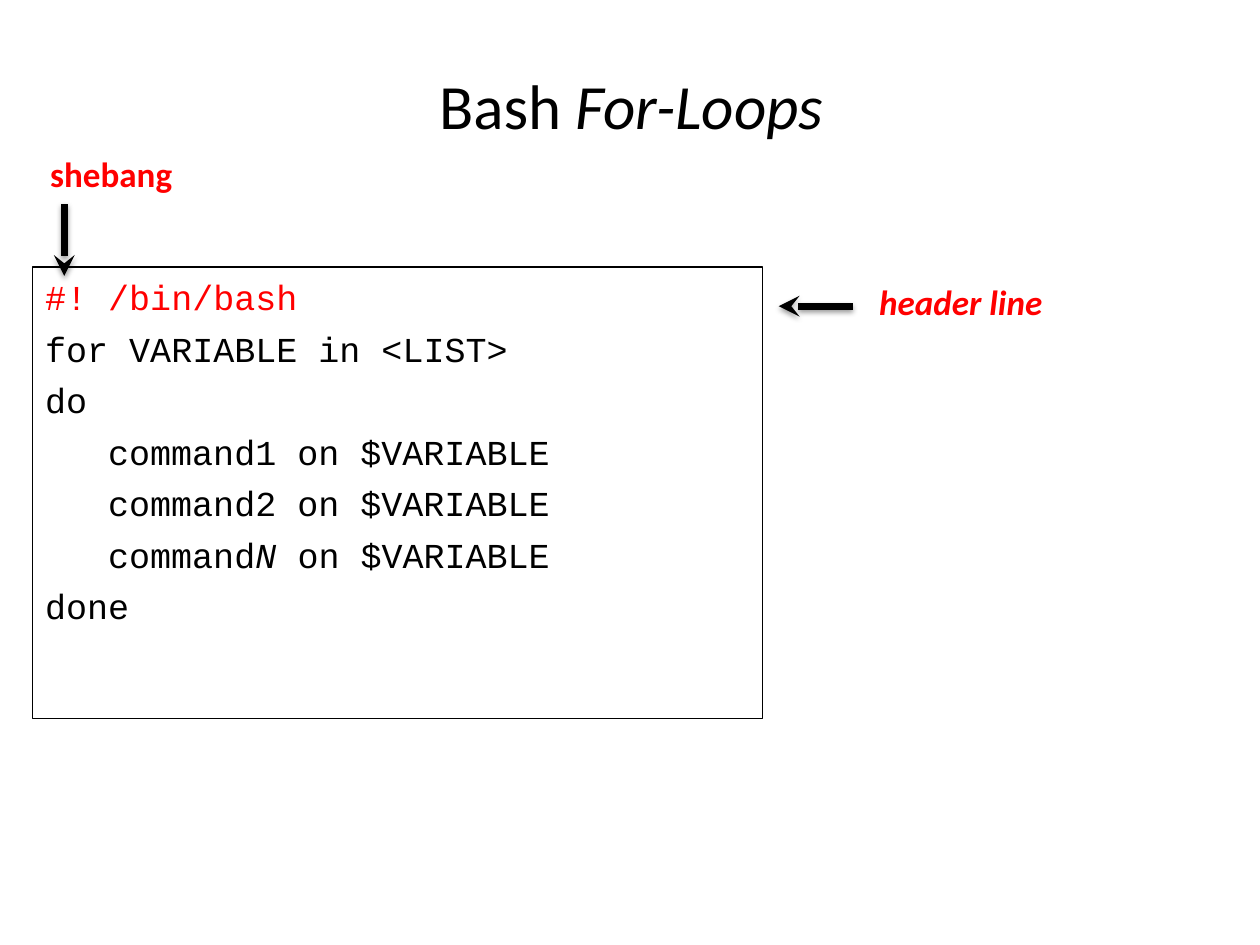
import pptx
import pptx.dml.color
import pptx.enum.shapes
import pptx.enum.text
import pptx.oxml
import pptx.oxml.ns
import pptx.util
from pptx.util import Inches

COLORS = {"ink": "000000", "accent": "FF0000"}
HEADING_FONT = "Calibri"
CODE_FONT = "Courier New"
NAMESPACE = pptx.oxml.ns.nsdecls("a")


def rgb(name):
    """Return the palette colour with the given name."""
    return pptx.dml.color.RGBColor.from_string(COLORS[name])


def add_run(paragraph, text, font=HEADING_FONT, size=20, color="ink", bold=False, italic=False):
    """Append formatted text to a paragraph."""
    run = paragraph.add_run()
    run.text = text
    run.font.name = font
    run.font.size = pptx.util.Pt(size)
    run.font.color.rgb = rgb(color)
    run.font.bold = bold
    run.font.italic = italic


def format_title(slide, left, top, width, height):
    """Place the title and write its two runs."""
    title = slide.shapes.title
    title.left, title.top = Inches(left), Inches(top)
    title.width, title.height = Inches(width), Inches(height)
    title.text_frame.vertical_anchor = pptx.enum.text.MSO_ANCHOR.MIDDLE
    paragraph = title.text_frame.paragraphs[0]
    paragraph.alignment = pptx.enum.text.PP_ALIGN.CENTER
    add_run(paragraph, "Bash ", size=36)
    add_run(paragraph, "For-Loops", size=36, italic=True)


def add_code_box(slide, left, top, width, height, lines):
    """Draw a framed code listing; each line is a list of text and format pairs."""
    box = slide.shapes.add_shape(
        pptx.enum.shapes.MSO_SHAPE.RECTANGLE,
        Inches(left), Inches(top), Inches(width), Inches(height))
    box.shadow.inherit = False
    box.fill.background()
    box.line.color.rgb = rgb("ink")
    box.line.width = pptx.util.Pt(0.75)
    frame = box.text_frame
    frame.word_wrap = True
    frame.vertical_anchor = pptx.enum.text.MSO_ANCHOR.TOP
    for index, pieces in enumerate(lines):
        paragraph = frame.add_paragraph() if index else frame.paragraphs[0]
        paragraph.alignment = pptx.enum.text.PP_ALIGN.LEFT
        paragraph.line_spacing = 1.06
        paragraph.space_after = pptx.util.Pt(4)
        paragraph._p.get_or_add_pPr().append(pptx.oxml.parse_xml(
            f'<a:tabLst {NAMESPACE}><a:tab pos="{Inches(0.5)}" algn="l"/></a:tabLst>'))
        for text, style in pieces:
            add_run(paragraph, text, font=CODE_FONT, **style)


def add_label(slide, left, top, width, height, text, italic=False):
    """Add a bold accent label."""
    label = slide.shapes.add_textbox(Inches(left), Inches(top), Inches(width), Inches(height))
    label.text_frame.word_wrap = True
    add_run(label.text_frame.paragraphs[0], text, color="accent", bold=True, italic=italic)


def add_arrow(slide, start, end):
    """Draw a thick stealth arrow with a soft shadow."""
    arrow = slide.shapes.add_connector(
        pptx.enum.shapes.MSO_CONNECTOR.STRAIGHT,
        Inches(start[0]), Inches(start[1]), Inches(end[0]), Inches(end[1]))
    arrow.line.color.rgb = rgb("ink")
    arrow.line.width = pptx.util.Pt(4)
    arrow.line._get_or_add_ln().append(
        pptx.oxml.parse_xml(f'<a:tailEnd {NAMESPACE} type="stealth"/>'))
    arrow._element.spPr.append(pptx.oxml.parse_xml(
        f'<a:effectLst {NAMESPACE}><a:outerShdw blurRad="{pptx.util.Pt(3.1)}" '
        f'dist="{pptx.util.Pt(1.6)}" dir="5400000" rotWithShape="0">'
        f'<a:srgbClr val="{COLORS["ink"]}"><a:alpha val="38000"/></a:srgbClr>'
        '</a:outerShdw></a:effectLst>'))


def build_slide(presentation):
    """Build the annotated for-loop slide."""
    slide = presentation.slides.add_slide(presentation.slide_layouts[5])
    format_title(slide, 0.06, 0.49, 9.9, 0.68)
    commands = [
        [("\tcommand", {}), (suffix, {"italic": suffix == "N"}), (" on $VARIABLE", {})]
        for suffix in "12N"]
    lines = [
        [("#! /bin/bash", {"color": "accent"})],
        [("for VARIABLE in <LIST>", {})],
        [("do", {})],
        *commands,
        [("done", {})],
    ]
    add_code_box(slide, 0.26, 2.12, 5.79, 3.58, lines)
    add_arrow(slide, (0.51, 1.62), (0.51, 2.19))
    add_label(slide, 0.3, 1.16, 1.19, 0.48, "shebang")
    add_label(slide, 6.88, 2.18, 2.87, 0.44, "header line", italic=True)
    add_arrow(slide, (6.77, 2.43), (6.18, 2.43))


presentation = pptx.Presentation()
presentation.slide_width = Inches(10)
presentation.slide_height = Inches(7.5)
build_slide(presentation)
presentation.save("out.pptx")
